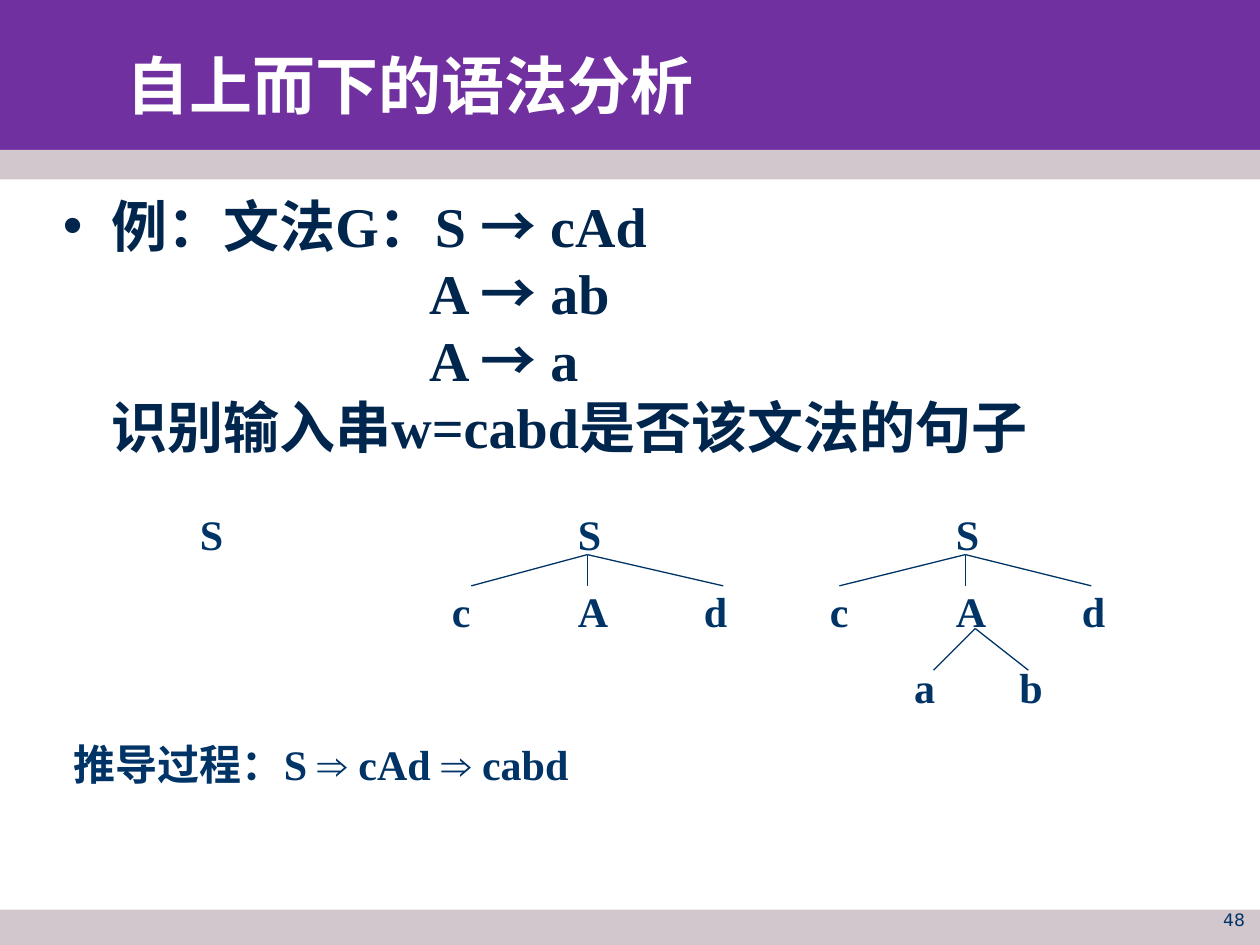
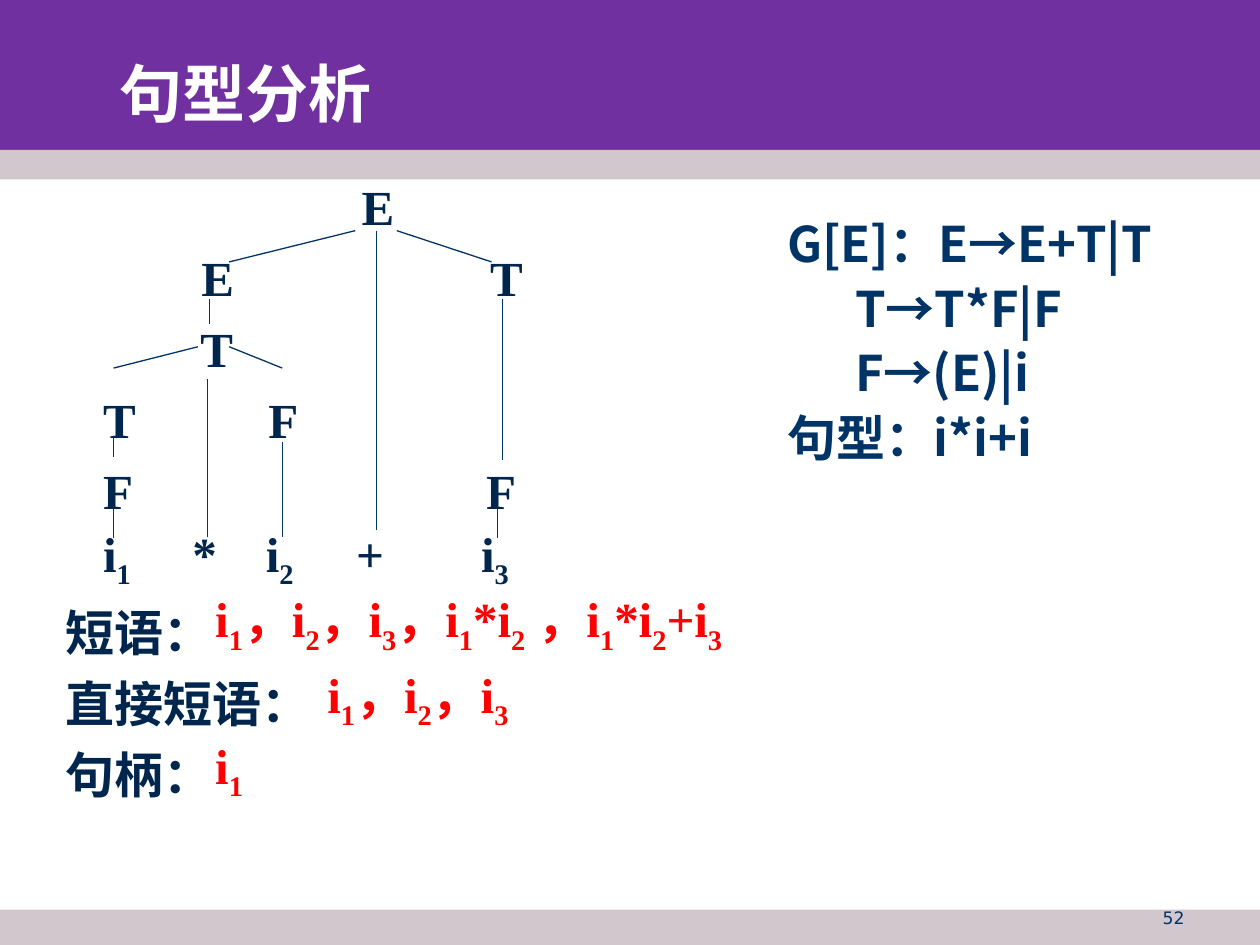
import itertools
from dataclasses import dataclass

import pptx
import pptx.dml.color
import pptx.enum.shapes
import pptx.enum.text
import pptx.oxml.ns
import pptx.util
from lxml import etree

Cm, Pt = pptx.util.Cm, pptx.util.Pt
qn = pptx.oxml.ns.qn


# Theme: colours, fonts and type sizes
@dataclass(frozen=True)
class Style:
    size: float
    color: str
    font: str = "Times New Roman"
    bold: bool = True
    leading: float = None  # points when above 2, otherwise a multiple
    gap: float = 0         # points between paragraphs
    align: str = "LEFT"
    anchor: str = "TOP"


class Theme:
    purple, mauve, white = "7030A0", "D3C7CE", "FFFFFF"
    ink, navy, red = "00264D", "003366", "FF0000"
    cjk, symbol = "Noto Sans CJK SC", "Arial"
    symbol_fonts = {"→": cjk, "⇒": symbol}
    rule = 0.75
    title = Style(36, white, cjk, anchor="MIDDLE")
    number = Style(9.8, navy, "DejaVu Sans", bold=False, leading=0.8, align="RIGHT")
    body = Style(32, ink, leading=38.4)
    derivation = Style(24, navy, leading=28.8, gap=15)
    tree = Style(28, ink, leading=33.6, gap=7)
    grammar = Style(28, navy, cjk, leading=37)
    answer = Style(28, red, leading=33.6)


# Content: lengths in cm; "_" puts the next character in subscript.
# A paragraph is (indent, text), or a list of (tab stop, text) cells.
WIDTH, HEIGHT = 25.4, 19.05
BANDS = [
    ((0, 0, WIDTH, 3.33), Theme.purple),
    ((0, 3.02, WIDTH, 0.6), Theme.mauve),
    ((0, 18.34, WIDTH, 0.71), Theme.mauve),
]
TITLE_SIZE, NUMBER_SIZE = (22.68, 2.11), (5.92, 0.79)
HANG = 0.97
TAB = 2.54

SLIDES = [
    {
        "title": ("自上而下的语法分析", (2.31, 0.64)),
        "number": ("48", (19.43, 18.29)),
        "texts": [
            (Theme.body, (1.02, 3.73, 22.53, 5.79), [
                (HANG, "•例：文法G：S → cAd"),
                (7.38, "A → ab"),
                (7.38, "A → a"),
                (HANG, "识别输入串w=cabd是否该文法的句子"),
            ]),
            (Theme.derivation, (1.24, 10.13, 22.66, 5.92), [
                [(n * TAB, "S") for n in (1, 4, 7)],
                [(n * TAB, s) for n, s in enumerate("cAdcAd", 3)],
                [(16.94, "a"), (19.06, "b")],
                (0, "推导过程：S ⇒ cAd ⇒ cabd"),
            ]),
        ],
        # Branches: parent point, height of the children, their x positions
        "fans": [
            ((11.84, 11.18), 11.81, (9.5, 11.84, 14.58)),
            ((19.46, 11.18), 11.81, (16.92, 19.46, 22)),
            ((19.66, 12.67), 13.51, (18.82, 20.73)),
        ],
        "edges": [],
    },
    {
        "title": ("句型分析", (2.16, 0.81)),
        "number": ("52", (18.21, 18.24)),
        "texts": [
            (Theme.tree, (0.61, 3.43, 12.09, 13.31), [
                [(6.43, "E")],
                [(3.2, "E"), (9.02, "T")],
                [(3.18, "T")],
                [(1.22, "T"), (4.55, "F")],
                [(1.22, "F"), (8.94, "F")],
                [(1.22, "i_1"), (3.02, "*"), (4.5, "i_2"), (6.32, "+"), (8.84, "i_3")],
                (0.46, "短语："),
                (0.46, "直接短语："),
                (0.46, "句柄："),
            ]),
            (Theme.grammar, (14.35, 4.06, 10.36, 7.67), [
                (1.27, "G[E]：E→E+T|T"),
                (2.64, "T→T*F|F"),
                (2.64, "F→(E)|i"),
                (1.27, "句型：i*i+i"),
            ]),
            (Theme.answer, (4.09, 11.91, 12.7, 1.6),
             [(0, "i_1，i_2，i_3，i_1*i_2 ，i_1*i_2+i_3")]),
            (Theme.answer, (6.35, 13.44, 12.7, 1.6), [(0, "i_1，i_2，i_3")]),
            (Theme.answer, (4.09, 14.86, 12.7, 1.6), [(0, "i_1")]),
        ],
        "fans": [],
        "edges": [
            (7.16, 4.65, 4.62, 5.28), (8, 4.65, 9.91, 5.28),
            (7.59, 4.65, 7.59, 10.69),
            (4.22, 6.02, 4.22, 6.53), (10.13, 6.02, 10.13, 9.27),
            (3.99, 6.99, 2.29, 7.42), (4.62, 6.99, 5.69, 7.42),
            (4.19, 7.65, 4.19, 10.82),
            (2.29, 8.79, 2.29, 9.22), (5.69, 8.92, 5.69, 10.82),
            (2.29, 10.21, 2.29, 10.85), (10.03, 10.21, 10.03, 10.85),
        ],
    },
]


def rgb(color):
    return pptx.dml.color.RGBColor.from_string(color)


def cm(values):
    return [Cm(v) for v in values]


def sub(parent, tag, **attrs):
    return etree.SubElement(parent, qn(tag), attrs)


# Text
def add_run(p, text, style, subscript=False):
    r = p.add_run()
    r.text = text
    font = r.font
    font.name = Theme.symbol_fonts.get(text, style.font)
    font.size, font.bold = Pt(style.size), style.bold
    font.color.rgb = rgb(style.color)
    rPr = font._element
    sub(rPr, "a:ea", typeface=Theme.cjk)
    if subscript:
        rPr.set("baseline", "-25000")


def add_runs(p, text, style):
    """Split the text at subscripts and at symbols with a font of their own."""
    for n, part in enumerate(text.split("_")):
        if n:
            add_run(p, part[0], style, subscript=True)
            part = part[1:]
        for _, chars in itertools.groupby(part, Theme.symbol_fonts.get):
            add_run(p, "".join(chars), style)


def fill_paragraph(p, content, style):
    pPr = p._p.get_or_add_pPr()
    if isinstance(content, list):
        tabs = sub(pPr, "a:tabLst")
        for stop, _ in content:
            sub(tabs, "a:tab", pos=str(Cm(stop)), algn="l")
        text = "".join("\t" + cell for _, cell in content)
    else:
        indent, text = content
        pPr.set("marL", str(Cm(indent)))
        pPr.set("indent", "0")
        if text.startswith("•"):
            pPr.set("indent", str(-Cm(indent)))
            sub(sub(pPr, "a:buClr"), "a:srgbClr", val=style.color)
            sub(pPr, "a:buFont", typeface=Theme.symbol)
            sub(pPr, "a:buChar", char="•")
            text = text[1:]
    add_runs(p, text, style)


def add_text(slide, style, box, paragraphs):
    tf = slide.shapes.add_textbox(*cm(box)).text_frame
    tf.word_wrap = True
    tf.vertical_anchor = getattr(pptx.enum.text.MSO_ANCHOR, style.anchor)
    for n, content in enumerate(paragraphs):
        p = tf.add_paragraph() if n else tf.paragraphs[0]
        fill_paragraph(p, content, style)
        p.alignment = getattr(pptx.enum.text.PP_ALIGN, style.align)
        if style.leading:
            p.line_spacing = Pt(style.leading) if style.leading > 2 else style.leading
        if n:
            p.space_before = Pt(style.gap)


# Shapes
def add_band(slide, box, color):
    sp = slide.shapes.add_shape(pptx.enum.shapes.MSO_SHAPE.RECTANGLE, *cm(box))
    sp.shadow.inherit = False
    sp.fill.solid()
    sp.fill.fore_color.rgb = rgb(color)
    sp.line.fill.background()


def add_edge(slide, ends):
    line = slide.shapes.add_connector(
        pptx.enum.shapes.MSO_CONNECTOR.STRAIGHT, *cm(ends))
    line.line.color.rgb = rgb(Theme.navy)
    line.line.width = Pt(Theme.rule)
    sub(line._element.spPr, "a:effectLst")


def add_slide(prs, content):
    slide = prs.slides.add_slide(prs.slide_layouts[6])
    # Bands, page number and title
    for box, color in BANDS:
        add_band(slide, box, color)
    for key, style, size in (("number", Theme.number, NUMBER_SIZE),
                             ("title", Theme.title, TITLE_SIZE)):
        text, corner = content[key]
        add_text(slide, style, corner + size, [(0, text)])
    # Text and tree edges
    for style, box, paragraphs in content["texts"]:
        add_text(slide, style, box, paragraphs)
    fan_edges = [(*parent, x, y) for parent, y, xs in content["fans"] for x in xs]
    for ends in fan_edges + content["edges"]:
        add_edge(slide, ends)


def main():
    prs = pptx.Presentation()
    prs.slide_width, prs.slide_height = cm((WIDTH, HEIGHT))
    for content in SLIDES:
        add_slide(prs, content)
    prs.save("out.pptx")


if __name__ == "__main__":
    main()
